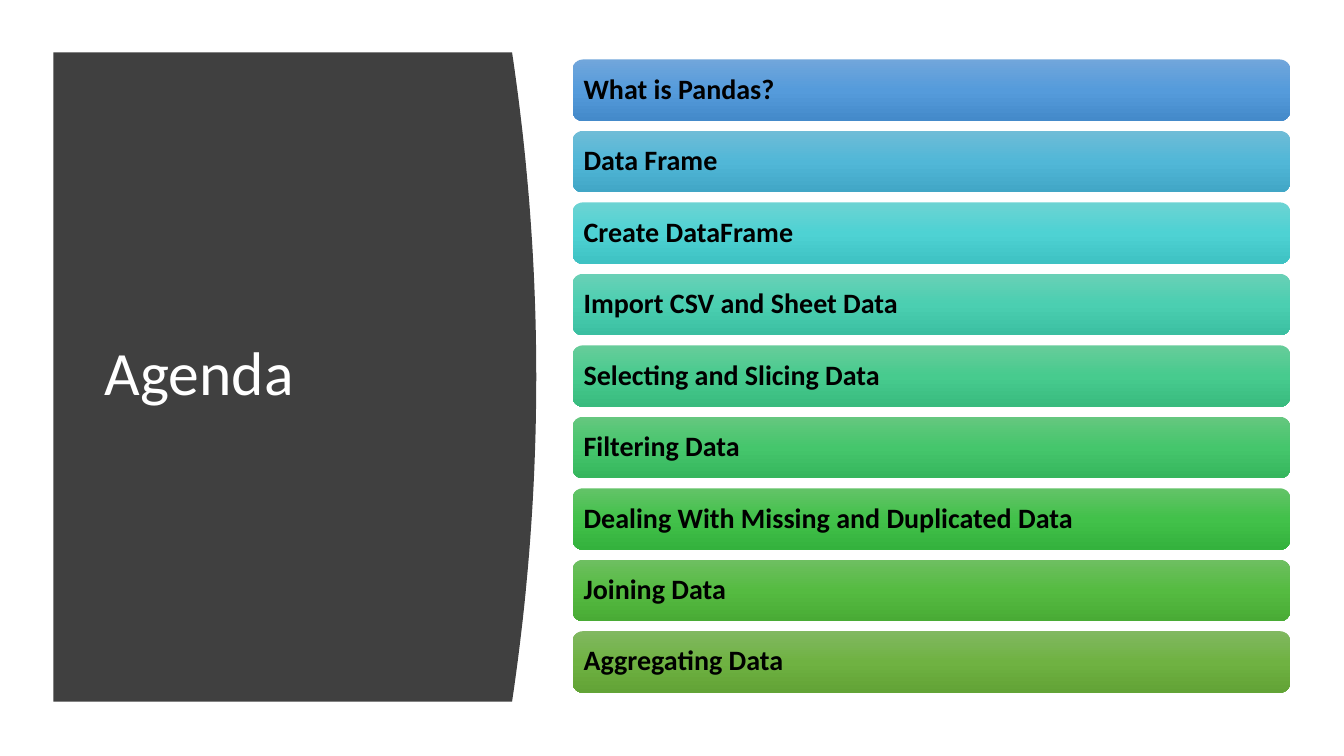
from copy import deepcopy
from dataclasses import dataclass

from pptx import Presentation
from pptx.dml.color import RGBColor
from pptx.enum.shapes import MSO_SHAPE
from pptx.enum.text import MSO_ANCHOR, PP_ALIGN
from pptx.oxml.ns import qn
from pptx.slide import Slide
from pptx.text.text import TextFrame
from pptx.util import Inches, Pt

# Grid: every column and row is a tenth of an inch
CELL = Inches(0.1)
SLIDE_COLUMNS, SLIDE_ROWS = 133.33, 75

PANEL_LEFT, PANEL_TOP = 5.3, 5.2
PANEL_EDGE, PANEL_HEIGHT, PANEL_BULGE = 50.8, 64.4, 2.4
CURVE_STEPS = 48

TOPIC_LEFT, TOPIC_TOP = 56.8, 5.9
TOPIC_WIDTH, TOPIC_HEIGHT, TOPIC_PITCH = 71.2, 6.1, 7.09


@dataclass(frozen=True)
class Topic:
    title: str
    light: str
    middle: str
    dark: str


TOPICS = [
    Topic("What is Pandas?", "71A6DB", "559BDB", "448ACA"),
    Topic("Data Frame", "6FBCD7", "51B7D7", "41A6C6"),
    Topic("Create DataFrame", "6CD3D3", "4ED2D3", "3EC2C3"),
    Topic("Import CSV and Sheet Data", "69D0B6", "4BCFB1", "3BBFA1"),
    Topic("Selecting and Slicing Data", "67CC9A", "47CB8E", "39BB7F"),
    Topic("Filtering Data", "65C77F", "45C66C", "36B65D"),
    Topic("Dealing With Missing and Duplicated Data", "63C368", "42C14A", "34B23D"),
    Topic("Joining Data", "6EBF61", "55BB41", "49AB35"),
    Topic("Aggregating Data", "81B861", "6FB242", "62A336"),
]


def grid(cells: float) -> int:
    return round(cells * CELL)


def color(code: str) -> RGBColor:
    return RGBColor.from_string(code)


def write(frame: TextFrame, text: str, size: float, code: str, bold: bool) -> None:
    frame.word_wrap = True
    frame.vertical_anchor = MSO_ANCHOR.MIDDLE
    paragraph = frame.paragraphs[0]
    paragraph.text = text
    paragraph.alignment = PP_ALIGN.LEFT
    paragraph.line_spacing = 0.9
    paragraph.font.name = "Calibri"
    paragraph.font.size = Pt(size)
    paragraph.font.bold = bold
    paragraph.font.color.rgb = color(code)


def draw_panel(slide: Slide) -> None:
    # The right edge bulges as a parabola from top to bottom
    shares = [step / CURVE_STEPS for step in range(CURVE_STEPS + 1)]
    curve = [
        (PANEL_EDGE + PANEL_BULGE * 4 * share * (1 - share),
         PANEL_TOP + PANEL_HEIGHT * share)
        for share in shares
    ]
    outline = [*curve, (PANEL_LEFT, PANEL_TOP + PANEL_HEIGHT)]
    builder = slide.shapes.build_freeform(grid(PANEL_LEFT), grid(PANEL_TOP))
    builder.add_line_segments([(grid(x), grid(y)) for x, y in outline], close=True)
    panel = builder.convert_to_shape()
    panel.shadow.inherit = False
    panel.fill.solid()
    panel.fill.fore_color.rgb = color("404040")
    panel.line.fill.background()


def draw_heading(slide: Slide) -> None:
    heading = slide.shapes.add_textbox(grid(9.4), grid(11.1), grid(37.4), grid(52.4))
    write(heading.text_frame, "Agenda", 44, "FFFFFF", bold=False)


def draw_topic(slide: Slide, topic: Topic, row: int) -> None:
    bar = slide.shapes.add_shape(
        MSO_SHAPE.ROUNDED_RECTANGLE,
        grid(TOPIC_LEFT), grid(TOPIC_TOP + row * TOPIC_PITCH),
        grid(TOPIC_WIDTH), grid(TOPIC_HEIGHT),
    )
    bar.shadow.inherit = False
    bar.line.fill.background()

    # Three-stop gradient running downwards
    bar.fill.gradient()
    bar.fill.gradient_angle = 270
    stop_list = next(bar.element.spPr.iter(qn("a:gsLst")))
    stop_list.insert(1, deepcopy(stop_list[0]))
    shades = (topic.light, topic.middle, topic.dark)
    for stop, shade, position in zip(bar.fill.gradient_stops, shades, (0, 0.5, 1)):
        stop.color.rgb = color(shade)
        stop.position = position

    frame = bar.text_frame
    frame.margin_left = frame.margin_right = grid(0.8)
    frame.margin_top = frame.margin_bottom = grid(0.8)
    write(frame, topic.title, 20, "000000", bold=True)


def main() -> None:
    presentation = Presentation()
    presentation.slide_width = grid(SLIDE_COLUMNS)
    presentation.slide_height = grid(SLIDE_ROWS)
    slide = presentation.slides.add_slide(presentation.slide_layouts[6])
    draw_panel(slide)
    draw_heading(slide)
    for row, topic in enumerate(TOPICS):
        draw_topic(slide, topic, row)
    presentation.save("out.pptx")


if __name__ == "__main__":
    main()
